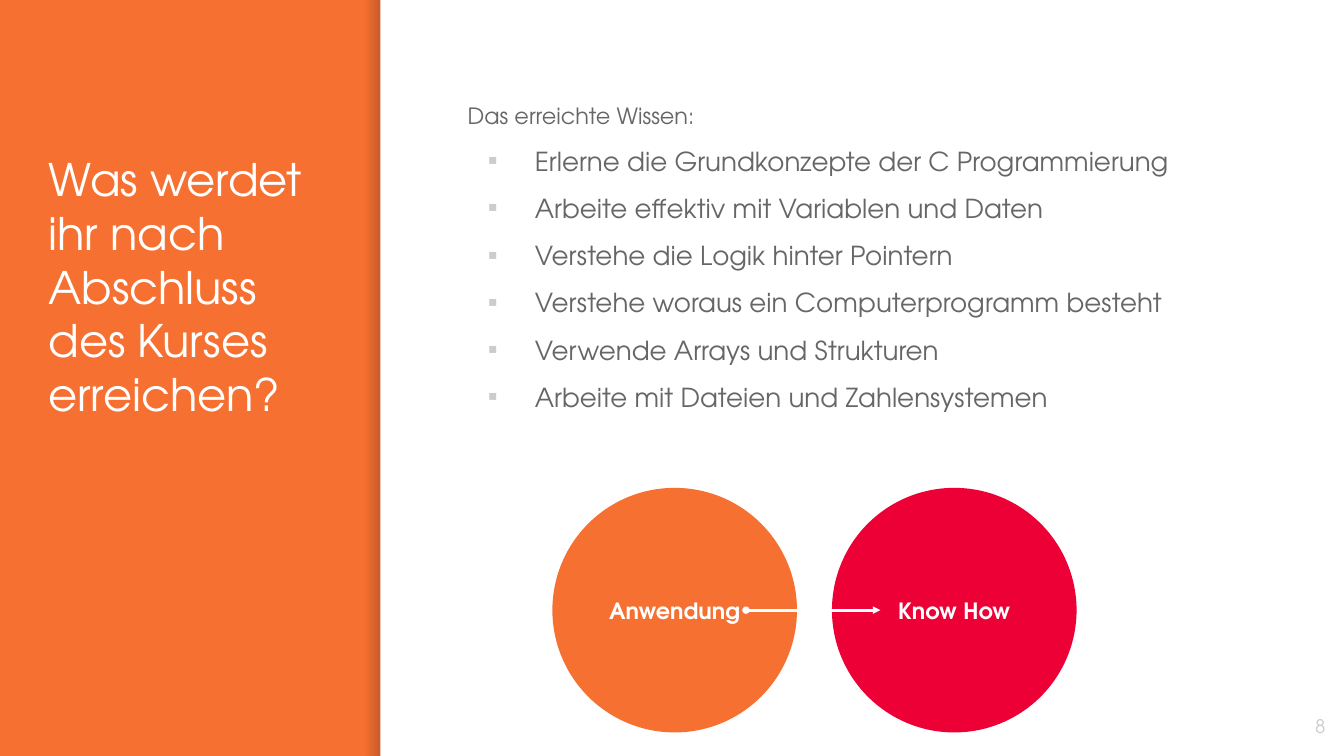
import pptx
import pptx.util
import pptx.dml.color
import pptx.enum.shapes
import pptx.enum.text
import pptx.oxml
import pptx.oxml.ns
import lxml.etree

Inches, Pt = pptx.util.Inches, pptx.util.Pt
SHAPE = pptx.enum.shapes.MSO_SHAPE
ALIGN = pptx.enum.text.PP_ALIGN
ANCHOR = pptx.enum.text.MSO_ANCHOR
qn = pptx.oxml.ns.qn

SLIDE_W = 10
SLIDE_H = SLIDE_W * 9 / 16
FONT = "TeX Gyre Adventor"
COLORS = {"orange": "F67031", "red": "ED0036", "white": "FFFFFF",
          "text": "666666", "muted": "CCCCCC", "shade": "000014"}
GOALS = [
    "Erlerne die Grundkonzepte der C Programmierung",
    "Arbeite effektiv mit Variablen und Daten",
    "Verstehe die Logik hinter Pointern",
    "Verstehe woraus ein Computerprogramm besteht",
    "Verwende Arrays und Strukturen",
    "Arbeite mit Dateien und Zahlensystemen",
]


def rgb(name):
    return pptx.dml.color.RGBColor.from_string(COLORS[name])


def sub(parent, tag, **attrs):
    return lxml.etree.SubElement(parent, qn(tag), attrs)


def add_run(p, text, size, color, bold=False):
    r = p.add_run()
    r.text = text
    r.font.name, r.font.size, r.font.bold = FONT, Pt(size), bold
    r.font.color.rgb = rgb(color)


def place(sp, x, y, w, h):
    sp.left, sp.top, sp.width, sp.height = map(Inches, (x, y, w, h))


def frame(sp, anchor=ANCHOR.TOP):
    """Set the common insets and wrapping, and return the text frame."""
    tf = sp.text_frame
    tf.word_wrap = True
    tf.auto_size = pptx.enum.text.MSO_AUTO_SIZE.NONE
    tf.vertical_anchor = anchor
    tf.margin_left = tf.margin_right = Inches(0.1)
    tf.margin_top = tf.margin_bottom = Inches(0.1)
    return tf


def add_plain(s, kind, x, y, w, h):
    """Add a preset shape without line and shadow."""
    sp = s.shapes.add_shape(kind, *map(Inches, (x, y, w, h)))
    sp.shadow.inherit = False
    sp.line.fill.background()
    return sp


def add_backdrop(s, x, y, w, h):
    """Lay the white panel over the orange ground, with a soft shade to its left."""
    s.background.fill.solid()
    s.background.fill.fore_color.rgb = rgb("orange")

    shade_w = 0.12
    shade = add_plain(s, SHAPE.RECTANGLE, x - shade_w, y, shade_w, h)
    shade.fill.gradient()
    shade.fill.gradient_angle = 0
    for stop in shade.fill.gradient_stops:
        stop.color.rgb = rgb("shade")
    for color, alpha in zip(shade._element.spPr.iter(qn("a:srgbClr")), ("0", "20000")):
        sub(color, "a:alpha", val=alpha)

    panel = add_plain(s, SHAPE.RECTANGLE, x, y, w, h)
    panel.fill.solid()
    panel.fill.fore_color.rgb = rgb("white")
    for i, sp in enumerate((shade, panel)):
        s.shapes._spTree.insert(2 + i, sp._element)


def fill_title(s, x, y, w, h):
    place(s.shapes.title, x, y, w, h)
    tf = frame(s.shapes.title)
    tf.margin_top = Inches(0.5)
    p = tf.paragraphs[0]
    p.alignment = ALIGN.LEFT
    add_run(p, "Was werdet ihr nach Abschluss des Kurses erreichen?", 24, "white")


def fill_goals(s, x, y, w, h):
    body = s.placeholders[1]
    place(body, x, y, w, h)
    tf = frame(body)
    for i, text in enumerate(["Das erreichte Wissen:"] + GOALS):
        p = tf.paragraphs[0] if i == 0 else tf.add_paragraph()
        p.line_spacing, p.space_before = 1.15, Pt(6)
        add_run(p, text, 14 if i else 12, "text")
        pPr = p._p.get_or_add_pPr()
        pPr.set("marL", str(Inches(0.5) if i else 0))
        pPr.set("indent", str(Inches(-0.35) if i else 0))
        if i:
            sub(sub(pPr, "a:buClr"), "a:srgbClr", val=COLORS["muted"])
            sub(pPr, "a:buSzPct", val="70000")
            sub(pPr, "a:buFont", typeface=FONT)
            sub(pPr, "a:buChar", char="▪")
        else:
            sub(pPr, "a:buNone")


def add_circles(s, x, y, w, h):
    """Draw two circles at the ends of the box, joined by an arrow at mid height."""
    for left, text, color in ((x, "Anwendung", "orange"), (x + w - h, "Know How", "red")):
        sp = add_plain(s, SHAPE.OVAL, left, y, h, h)
        sp.fill.solid()
        sp.fill.fore_color.rgb = rgb(color)
        p = frame(sp, ANCHOR.MIDDLE).paragraphs[0]
        p.alignment = ALIGN.CENTER
        add_run(p, text, 12, "white", bold=True)

    mid = y + h / 2
    arrow = s.shapes.add_connector(
        pptx.enum.shapes.MSO_CONNECTOR.STRAIGHT,
        *map(Inches, (x + 1.44, mid, x + 2.44, mid)))
    arrow.line.width = Pt(1.5)
    arrow.line.color.rgb = rgb("white")
    ln = arrow.line._get_or_add_ln()
    sub(ln, "a:headEnd", type="oval", w="sm", len="sm")
    sub(ln, "a:tailEnd", type="triangle", w="sm", len="sm")
    sub(arrow._element.spPr, "a:effectLst")


def add_page_number(s, x, y, w, h):
    sp = s.shapes.add_textbox(*map(Inches, (x, y, w, h)))
    p = frame(sp, ANCHOR.MIDDLE).paragraphs[0]
    p.alignment = ALIGN.RIGHT
    add_run(p, "8", 10, "muted")


def main():
    prs = pptx.Presentation()
    prs.slide_width, prs.slide_height = Inches(SLIDE_W), Inches(SLIDE_H)
    s = prs.slides.add_slide(prs.slide_layouts[1])
    panel_x = 2.83
    add_backdrop(s, panel_x, 0, SLIDE_W - panel_x, SLIDE_H)
    fill_title(s, 0.26, 0.63, 2.24, 4.35)
    fill_goals(s, 3.38, 0.63, 6.12, 3.02)
    add_page_number(s, 9.36, 5.19, 0.6, 0.43)
    add_circles(s, 4.11, 3.63, 3.9, 1.82)
    prs.save("out.pptx")


if __name__ == "__main__":
    main()
